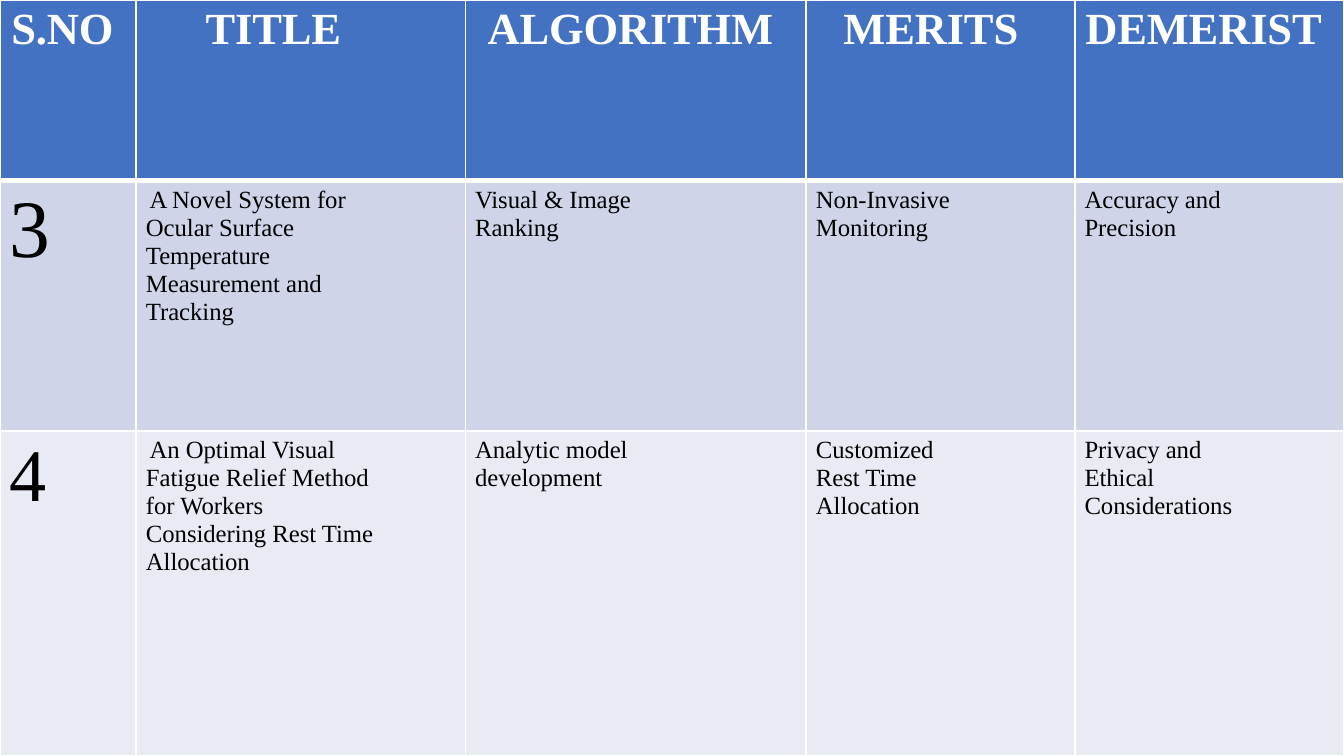
from lxml import etree
from pptx import Presentation
from pptx.dml.color import RGBColor
from pptx.oxml.ns import qn
from pptx.util import Pt

HEADINGS = ["S.NO", "TITLE", "ALGORITHM", "MERITS", "DEMERIST"]
PAPERS = [
    ["3", "A Novel System for Ocular Surface Temperature Measurement and Tracking",
     "Visual & Image Ranking", "Non-Invasive Monitoring", "Accuracy and Precision"],
    ["4", "An Optimal Visual Fatigue Relief Method for Workers Considering Rest Time Allocation",
     "Analytic model development", "Customized Rest Time Allocation",
     "Privacy and Ethical Considerations"],
]
COLORS = {"header": "4472C3", "odd": "CFD4E9", "even": "E8EBF4",
          "border": "FFFFFF", "heading": "FFFFFF", "body": "000000"}
FONT = "Times New Roman"
COLUMN_WIDTHS = [110.2, 266.4, 275.8, 217.4, 217.8]
ROW_HEIGHTS = [146, 203, 263]
ROW_FILLS = ["header", "odd", "even"]
HEADING_INDENTS = [9.2, 56.2, 18, 30.2, 8.6]
BODY_INDENT = 7.9
TITLE_FIRST_LINE = 2.9
WRAP_MARGINS = [0, 67, 100, 93, 75]
NUMBER_SIZES = [66, 60]
THIN, THICK = 1.5, 4.5


def draw_borders(cell, top, bottom):
    properties = cell._tc.get_or_add_tcPr()
    for side, width in (("L", THIN), ("R", THIN), ("T", top), ("B", bottom)):
        border = etree.SubElement(properties, qn(f"a:ln{side}"), w=str(Pt(width)))
        fill = etree.SubElement(border, qn("a:solidFill"))
        etree.SubElement(fill, qn("a:srgbClr"), val=COLORS["border"])


def write_cell(cell, wording, size, color, indent, first_line=0, before=2.6,
               line_spacing=1.0, tracking=0, bold=False, top_margin=3.6, wrap_margin=0):
    """Fill in one cell; tracking is in hundredths of a point."""
    cell.margin_left = cell.margin_bottom = 0
    cell.margin_top, cell.margin_right = Pt(top_margin), Pt(wrap_margin)
    cell.text_frame.text = wording
    paragraph = cell.text_frame.paragraphs[0]
    paragraph.space_before = Pt(before)
    paragraph.line_spacing = line_spacing
    layout = paragraph._p.get_or_add_pPr()
    layout.set("marL", str(Pt(indent)))
    layout.set("indent", str(Pt(first_line)))
    font = paragraph.runs[0].font
    font.name, font.size, font.bold = FONT, Pt(size), bold
    font.color.rgb = RGBColor.from_string(COLORS[color])
    font._element.set("spc", str(tracking))


def main():
    deck = Presentation()
    deck.slide_width, deck.slide_height = Pt(sum(COLUMN_WIDTHS)), Pt(sum(ROW_HEIGHTS))
    slide = deck.slides.add_slide(deck.slide_layouts[6])
    survey = slide.shapes.add_table(
        len(ROW_HEIGHTS), len(COLUMN_WIDTHS), 0, 0, deck.slide_width, deck.slide_height).table
    for column, width in zip(survey.columns, COLUMN_WIDTHS):
        column.width = Pt(width)
    for row, height in zip(survey.rows, ROW_HEIGHTS):
        row.height = Pt(height)

    for r, entries in enumerate([HEADINGS] + PAPERS):
        for c, wording in enumerate(entries):
            cell = survey.cell(r, c)
            draw_borders(cell, THICK if r == 1 else THIN, THICK if r == 0 else THIN)
            cell.fill.solid()
            cell.fill.fore_color.rgb = RGBColor.from_string(COLORS[ROW_FILLS[r]])
            if r == 0:
                write_cell(cell, wording, 36, "heading", HEADING_INDENTS[c],
                           before=2.8, tracking=-10, bold=True)
            elif c == 0:
                write_cell(cell, wording, NUMBER_SIZES[r - 1], "body", BODY_INDENT, tracking=-50)
            else:
                write_cell(cell, wording, 20, "body", BODY_INDENT,
                           first_line=TITLE_FIRST_LINE if c == 1 else 0, before=3.3,
                           line_spacing=1.02, tracking=-5, top_margin=4.3,
                           wrap_margin=WRAP_MARGINS[c])
    deck.save("out.pptx")


if __name__ == "__main__":
    main()
